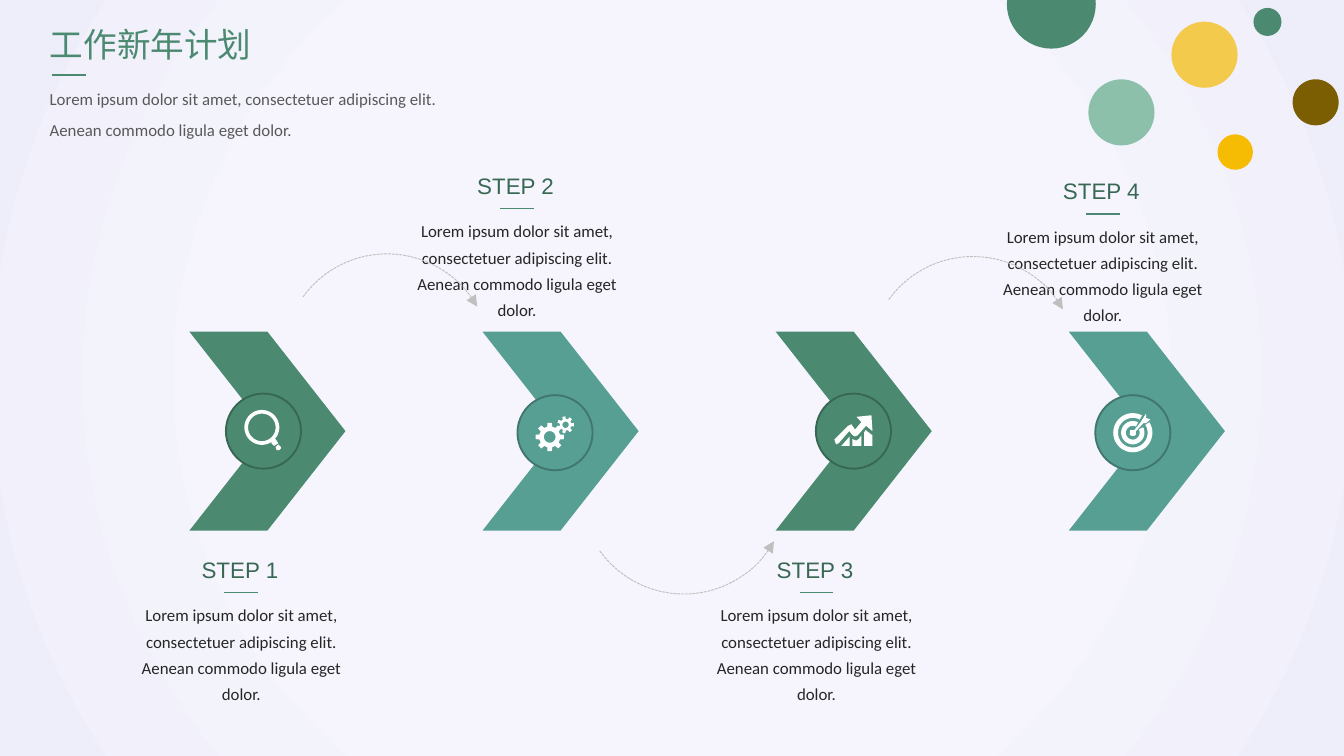
from math import cos, pi, radians, sin

from lxml import etree
from pptx import Presentation
from pptx.dml.color import RGBColor
from pptx.enum.dml import MSO_LINE
from pptx.enum.shapes import MSO_CONNECTOR, MSO_SHAPE
from pptx.enum.text import MSO_ANCHOR, MSO_AUTO_SIZE, PP_ALIGN
from pptx.oxml import parse_xml
from pptx.oxml.ns import nsdecls, qn
from pptx.util import Cm, Pt

OVAL, CHEVRON, ARC = MSO_SHAPE.OVAL, MSO_SHAPE.CHEVRON, MSO_SHAPE.ARC
STRAIGHT, DASHED = MSO_CONNECTOR.STRAIGHT, MSO_LINE.SQUARE_DOT
LEFT, CENTER = PP_ALIGN.LEFT, PP_ALIGN.CENTER
TOP, MIDDLE = MSO_ANCHOR.TOP, MSO_ANCHOR.MIDDLE
FIXED, GROW = MSO_AUTO_SIZE.NONE, MSO_AUTO_SIZE.SHAPE_TO_FIT_TEXT

THEME = {
    "green": "4B8A70", "teal": "579E93", "green_edge": "376653", "teal_edge": "41766E",
    "mint": "8CC0AB", "gold": "F6BB03", "brown": "7B5E01", "icon": "FFFFFF",
    "heading": "386854", "body": "262626", "intro": "595959", "arrow": "BFBFBF",
    "background": [(0, "F7F8FD"), (53, "F6F5FD"), (100, "EEEEFA")],
    "title_type": ("Noto Sans CJK SC", 18), "heading_type": ("Arial", 12),
    "body_type": ("Calibri", 9),
}

# Content; all lengths are centimetres
TITLE = "工作新年计划"
LOREM = ("Lorem ipsum dolor sit amet, consectetuer adipiscing elit. "
         "Aenean commodo ligula eget dolor.")
# heading, description left and top, badge left and top, colour
STEPS = [
    ("STEP 1", (2.26, 11.2), (4.27, 7.44), "green"),
    ("STEP 2", (7.47, 3.94), (9.78, 7.47), "teal"),
    ("STEP 3", (13.13, 11.2), (15.42, 7.44), "green"),
    ("STEP 4", (18.54, 4.04), (20.7, 7.47), "teal"),
]
# left, top, diameter, colour, opacity in percent
DOTS = [
    (20.57, 1.5, 1.25, "mint", 100), (23.01, 2.54, 0.67, "gold", 100),
    (23.69, 0.15, 0.53, "green", 100), (22.14, 0.41, 1.25, "gold", 70),
    (19.03, -0.76, 1.68, "green", 100), (24.43, 1.5, 0.87, "brown", 100),
]
ARROWS = [(5.36, 4.8, False), (10.97, 7.32, True), (16.43, 4.85, False)]
BADGE, ARROW_SIZE = 1.42, 3.91
CHEVRON_LEFT, CHEVRON_TOP, CHEVRON_STEP = 3.58, 6.27, 5.54


# Icon outlines, measured from the badge centre
def circle(x, y, radius, start=0, sweep=360):
    return [(x + radius * cos(radians(start + sweep * i / 48)),
             y + radius * sin(radians(start + sweep * i / 48))) for i in range(49)]


def ring(x, y, outer, inner, start=0, sweep=360):
    return [circle(x, y, outer, start, sweep) + circle(x, y, inner, start, sweep)[::-1]]


def gear(x, y, outer, root, hole, teeth):
    pitch = 2 * pi / teeth
    profile = [(-0.3, root), (-0.2, outer), (0.2, outer), (0.3, root)]
    rim = [(x + radius * cos((tooth + turn) * pitch), y + radius * sin((tooth + turn) * pitch))
           for tooth in range(teeth) for turn, radius in profile]
    return [rim, circle(x, y, hole)]


MAGNIFIER = [
    ring(-0.03, -0.07, 0.33, 0.26),
    [[(0.15, 0.18), (0.18, 0.15), (0.23, 0.15), (0.28, 0.23), (0.2, 0.28), (0.15, 0.23)]],
    [[(0.33, 0.33), (0.3, 0.36), (0.25, 0.36), (0.23, 0.3), (0.28, 0.25), (0.33, 0.3)]],
]
GEARS = [gear(0.2, -0.15, 0.16, 0.11, 0.06, 7), gear(-0.1, 0.08, 0.27, 0.2, 0.11, 8)]
GROWTH = [
    [[(-0.08, 0), (-0.28, 0.23), (-0.33, 0.25), (-0.36, 0.16), (-0.1, -0.1), (-0.04, -0.13),
      (0.03, -0.03), (0.15, -0.17), (0.06, -0.27), (0.34, -0.3), (0.36, 0), (0.24, -0.1),
      (0.08, 0.08), (0.03, 0.1), (-0.01, 0.08)]],
    [[(0.23, -0.02), (0.2, 0.03), (0.2, 0.28), (0.36, 0.28), (0.36, 0.08)]],
    [[(0.1, 0.15), (0.05, 0.18), (-0.02, 0.15), (-0.02, 0.28), (0.15, 0.28), (0.15, 0.08)]],
    [[(-0.23, 0.28), (-0.07, 0.28), (-0.07, 0.1)]],
]
TARGET = [
    ring(0, 0, 0.37, 0.28, -32, 330),
    ring(0, 0, 0.22, 0.13, -28, 325),
    [[(0.18, -0.25), (0.25, -0.36), (0.25, -0.28), (0.33, -0.25), (0.25, -0.18), (0.2, -0.18),
      (0.06, -0.03), (0.06, 0.03), (0.03, 0.06), (-0.03, 0.06), (-0.06, 0.03), (-0.05, -0.05),
      (0.03, -0.05), (0.15, -0.2)]],
]
ICONS = [MAGNIFIER, GEARS, GROWTH, TARGET]


def color(name):
    return RGBColor.from_string(THEME[name])


def paint(shape, fill=None, edge=None, width=1):
    shape.shadow.inherit = False
    if fill:
        shape.fill.solid()
        shape.fill.fore_color.rgb = color(fill)
    else:
        shape.fill.background()
    if edge:
        shape.line.color.rgb = color(edge)
        shape.line.width = Pt(width)
    else:
        shape.line.fill.background()


def add_shape(slide, kind, left, top, width, height):
    return slide.shapes.add_shape(kind, Cm(left), Cm(top), Cm(width), Cm(height))


def add_rule(slide, left, top):
    rule = slide.shapes.add_connector(STRAIGHT, Cm(left), Cm(top), Cm(left + 0.64), Cm(top))
    rule.line.color.rgb = color("green")
    rule.line.width = Pt(1)
    etree.SubElement(rule._element.spPr, qn("a:effectLst"))


def write(box, text, kind, ink, align=LEFT, spacing=1.0, wrap=True, anchor=TOP, fit=GROW):
    frame = box.text_frame
    frame.text = text
    frame.word_wrap, frame.vertical_anchor, frame.auto_size = wrap, anchor, fit
    para = frame.paragraphs[0]
    para.alignment, para.line_spacing = align, spacing
    span = para.runs[0]
    name, size = THEME[kind]
    span.font.name, span.font.size = name, Pt(size)
    span.font.color.rgb = color(ink)
    etree.SubElement(span._r.get_or_add_rPr(), qn("a:ea")).set("typeface", name)


def add_text(slide, left, top, width, height, *args, **options):
    box = slide.shapes.add_textbox(Cm(left), Cm(top), Cm(width), Cm(height))
    write(box, *args, **options)


def add_outline(slide, x, y, contours):
    placed = [[(Cm(x + dx), Cm(y + dy)) for dx, dy in contour] for contour in contours]
    builder = slide.shapes.build_freeform(*placed[0][0], scale=1.0)
    for contour in placed:
        builder.move_to(*contour[0])
        builder.add_line_segments(contour[1:], close=True)
    paint(builder.convert_to_shape(), "icon")


def set_background(slide):
    stops = "".join(f'<a:gs pos="{place * 1000}"><a:srgbClr val="{value}"/></a:gs>'
                    for place, value in THEME["background"])
    slide._element.cSld.insert(0, parse_xml(
        f'<p:bg {nsdecls("p", "a")}><p:bgPr><a:gradFill><a:gsLst>{stops}</a:gsLst>'
        '<a:path path="circle"><a:fillToRect l="50000" t="50000" r="50000" b="50000"/></a:path>'
        '</a:gradFill><a:effectLst/></p:bgPr></p:bg>'))


def main():
    deck = Presentation()
    deck.slide_width, deck.slide_height = Cm(25.4), Cm(14.29)
    page = deck.slides.add_slide(deck.slide_layouts[5])
    set_background(page)

    # Corner dots
    for left, top, size, fill, opacity in DOTS:
        dot = add_shape(page, OVAL, left, top, size, size)
        paint(dot, fill)
        if opacity < 100:
            tint = dot._element.spPr.find(qn("a:solidFill"))[0]
            etree.SubElement(tint, qn("a:alpha")).set("val", str(opacity * 1000))

    # Title and introduction
    title = page.shapes.title
    title.left, title.top, title.width, title.height = Cm(0.69), Cm(0.15), Cm(5.08), Cm(1.37)
    write(title, TITLE, "title_type", "green", anchor=MIDDLE, fit=FIXED)
    add_text(page, 0.69, 1.37, 8.38, 1.42, LOREM, "body_type", "intro", spacing=1.5)
    add_rule(page, 0.99, 1.42)

    # Chevrons, badges, icons and step texts
    for index, (heading, (left, top), (badge_left, badge_top), fill) in enumerate(STEPS):
        chevron_left = CHEVRON_LEFT + index * CHEVRON_STEP
        paint(add_shape(page, CHEVRON, chevron_left, CHEVRON_TOP, 2.95, 3.76), fill)
        badge = add_shape(page, OVAL, badge_left, badge_top, BADGE, BADGE)
        paint(badge, fill, fill + "_edge")
        for contours in ICONS[index]:
            add_outline(page, badge_left + BADGE / 2, badge_top + BADGE / 2, contours)
        add_text(page, left, top, 4.6, 2.26, LOREM, "body_type", "body", CENTER, 1.3)
        add_rule(page, left + 1.98, top)
        add_text(page, left + 1.3, top - 0.81, 1.98, 0.76, heading, "heading_type", "heading",
                 wrap=False)

    # Curved arrows between steps
    for left, top, flipped in ARROWS:
        arrow = add_shape(page, ARC, left, top, ARROW_SIZE, ARROW_SIZE)
        arrow.adjustments[0], arrow.adjustments[1] = 129.42, 198.41
        paint(arrow, edge="arrow", width=0.5)
        arrow.line.dash_style = DASHED
        etree.SubElement(arrow.line._get_or_add_ln(), qn("a:tailEnd")).set("type", "triangle")
        if flipped:
            arrow._element.spPr.xfrm.set("flipV", "1")

    deck.save("out.pptx")


if __name__ == "__main__":
    main()
